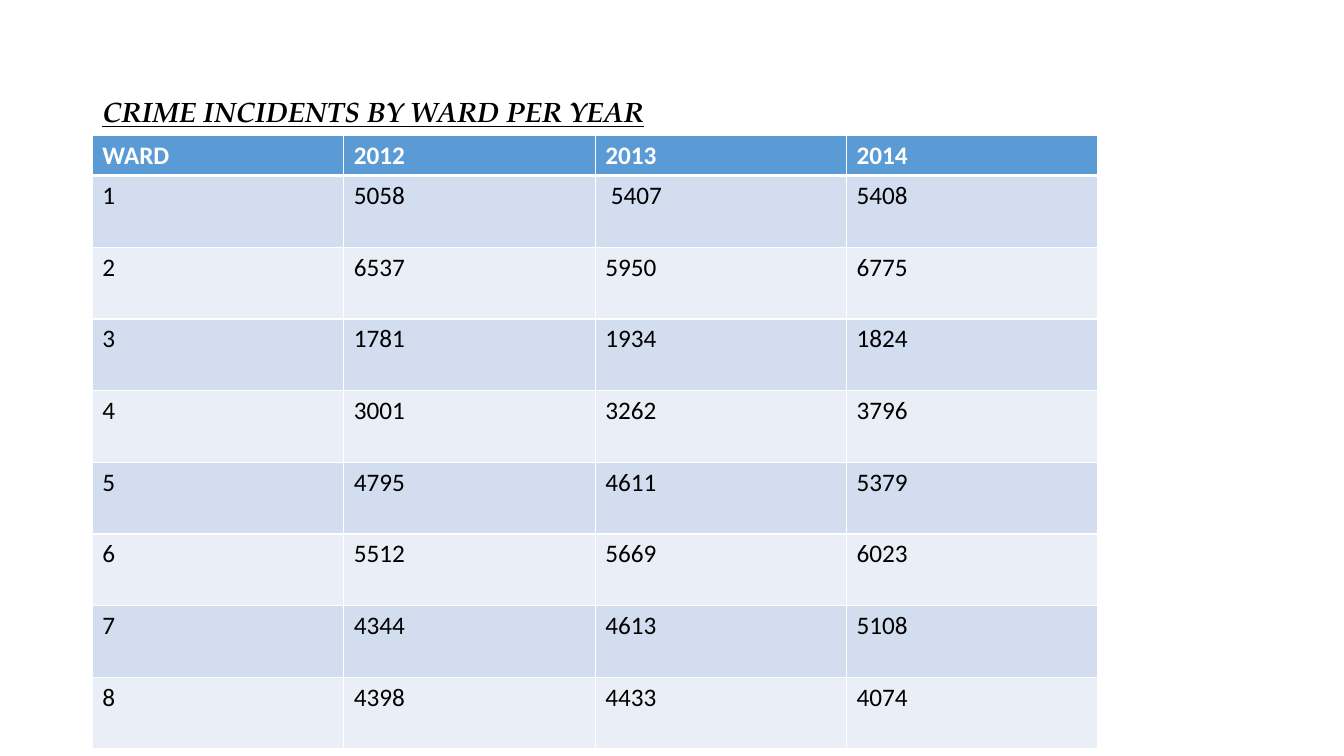
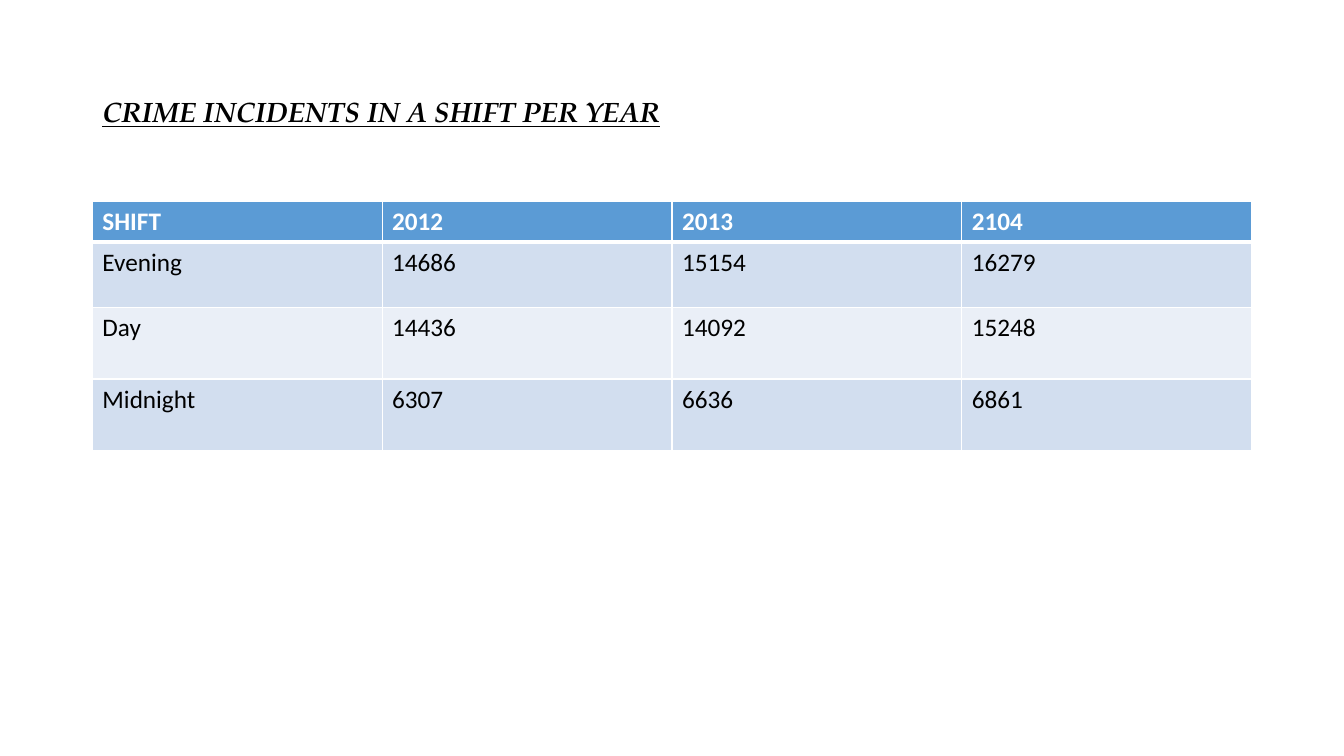
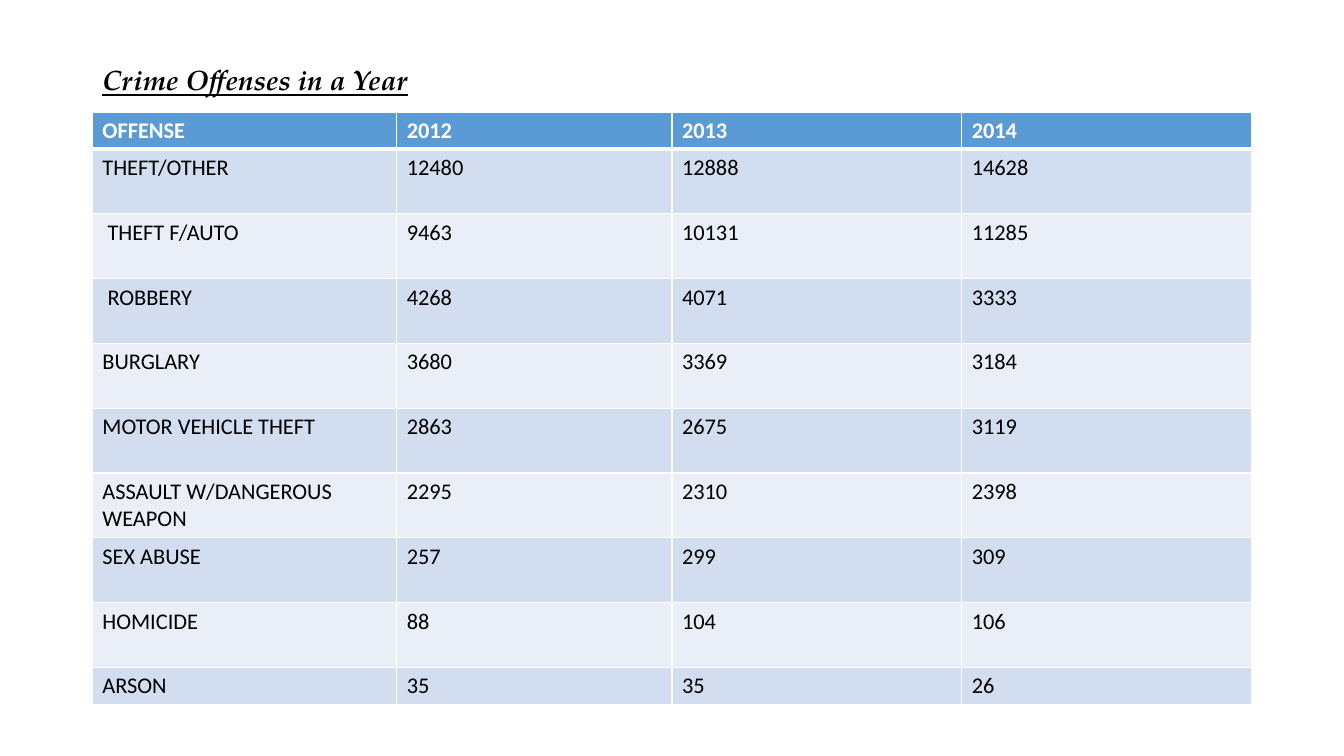
from lxml import etree
from pptx import Presentation
from pptx.dml.color import RGBColor
from pptx.enum import text as txt
from pptx.oxml import ns
from pptx.util import Pt

COLORS = {"ink": "000000", "white": "FFFFFF", "header": "5B9BD5",
          "odd": "D2DEEF", "even": "EAEFF7"}
LEFT, TITLE_TOP, WIDTH = 66, 28.75, 828

# Content of the three slides, lengths in points
PAGES = [
    {"title": "CRIME INCIDENTS BY WARD PER YEAR", "title_height": 104.4,
     "top": 96.4, "size": 18, "columns": [179.6] * 4, "heights": [29] + [51.2] * 8,
     "rows": [["WARD", "2012", "2013", "2014"],
              ["1", "5058", " 5407", "5408"],
              ["2", "6537", "5950", "6775"],
              ["3", "1781", "1934", "1824"],
              ["4", "3001", "3262", "3796"],
              ["5", "4795", "4611", "5379"],
              ["6", "5512", "5669", "6023"],
              ["7", "4344", "4613", "5108"],
              ["8", "4398", "4433", "4074"]]},
    {"title": "CRIME INCIDENTS IN A SHIFT PER YEAR", "title_height": 104.4,
     "top": 144, "size": 18, "columns": [207] * 4, "heights": [29, 46.5, 51.2, 51.2],
     "rows": [["SHIFT", "2012", "2013", "2104"],
              ["Evening", "14686", "15154", "16279"],
              ["Day", "14436", "14092", "15248"],
              ["Midnight", "6307", "6636", "6861"]]},
    {"title": "Crime Offenses in a Year", "title_height": 59,
     "top": 80, "size": 16, "columns": [217.4, 196.6, 207, 207],
     "heights": [26.5] + [46.3] * 8 + [26.5],
     "rows": [["OFFENSE", "2012", "2013", "2014"],
              ["THEFT/OTHER", "12480", "12888", "14628"],
              [" THEFT F/AUTO", "9463", "10131", "11285"],
              [" ROBBERY", "4268", "4071", "3333"],
              ["BURGLARY", "3680", "3369", "3184"],
              ["MOTOR VEHICLE THEFT", "2863", "2675", "3119"],
              ["ASSAULT W/DANGEROUS WEAPON", "2295", "2310", "2398"],
              ["SEX ABUSE", "257", "299", "309"],
              ["HOMICIDE", "88", "104", "106"],
              ["ARSON", "35", "35", "26"]]},
]


def write(frame, words, font="Calibri", size=18, color="ink", bold=False,
          italic=False, underline=False, spacing=1.0):
    para = frame.paragraphs[0]
    para.line_spacing = spacing
    span = para.add_run()
    span.text = words
    span.font.name, span.font.size = font, Pt(size)
    span.font.bold, span.font.italic, span.font.underline = bold, italic, underline
    span.font.color.rgb = RGBColor.from_string(COLORS[color])


def style_cell(cell, fill, top, bottom):
    properties = cell._tc.get_or_add_tcPr()
    for side, width in (("L", 1), ("R", 1), ("T", top), ("B", bottom)):
        line = etree.SubElement(properties, ns.qn("a:ln" + side), w=str(Pt(width)))
        paint = etree.SubElement(line, ns.qn("a:solidFill"))
        etree.SubElement(paint, ns.qn("a:srgbClr"), val=COLORS["white"])
    cell.fill.solid()
    cell.fill.fore_color.rgb = RGBColor.from_string(COLORS[fill])


deck = Presentation()
deck.slide_width, deck.slide_height = Pt(960), Pt(540)

for content in PAGES:
    page = deck.slides.add_slide(deck.slide_layouts[6])

    # Title
    box = page.shapes.add_textbox(Pt(LEFT), Pt(TITLE_TOP), Pt(WIDTH),
                                  Pt(content["title_height"]))
    box.text_frame.word_wrap = True
    box.text_frame.vertical_anchor = txt.MSO_ANCHOR.MIDDLE
    write(box.text_frame, content["title"], font="TeX Gyre Pagella", size=20,
          bold=True, italic=True, underline=True, spacing=0.9)

    # Table
    rows, columns, heights = content["rows"], content["columns"], content["heights"]
    table = page.shapes.add_table(len(rows), len(columns), Pt(LEFT), Pt(content["top"]),
                                  Pt(sum(columns)), Pt(sum(heights))).table
    for column, width in zip(table.columns, columns):
        column.width = Pt(width)
    for number, (row, height, values) in enumerate(zip(table.rows, heights, rows)):
        row.height = Pt(height)
        header = number == 0
        fill = "header" if header else "odd" if number % 2 else "even"
        for cell, value in zip(row.cells, values):
            style_cell(cell, fill, top=3 if number == 1 else 1, bottom=3 if header else 1)
            write(cell.text_frame, value, size=content["size"], bold=header,
                  color="white" if header else "ink")

deck.save("out.pptx")
